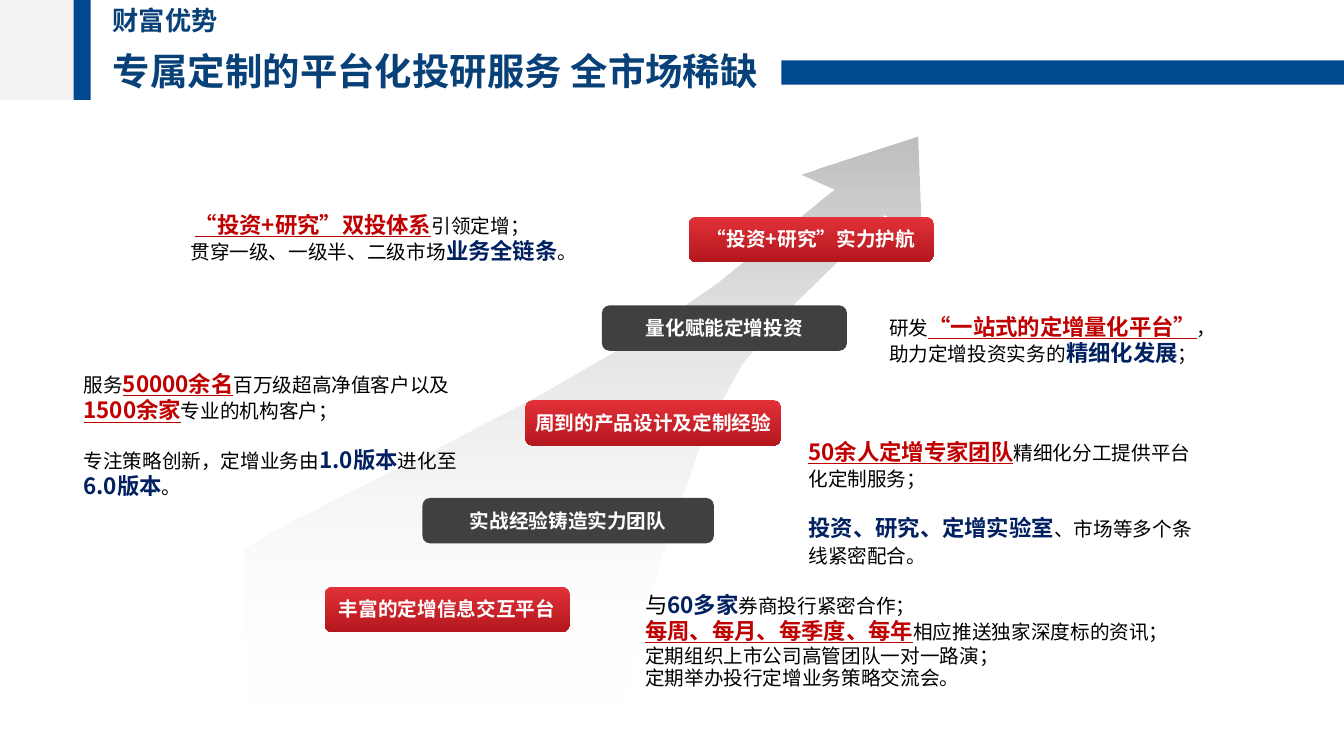
from lxml.etree import SubElement
from pptx import Presentation
from pptx.dml.color import RGBColor
from pptx.enum.shapes import MSO_SHAPE as Preset
from pptx.enum.text import MSO_ANCHOR as Anchor, MSO_AUTO_SIZE as AutoSize, PP_ALIGN as Align
from pptx.oxml.ns import qn
from pptx.util import Pt

PX = 9144  # EMU in one px, 100 px to the inch
FONT = "Noto Sans CJK SC"
LINE_HEIGHT = 1.17
PARAGRAPH_GAP = 17
BLUE, TITLE_BLUE, GREY, DARK = "004990", "084078", "F2F2F2", "404040"
RED_FADE = ("E23138", "B4171E")

# style: size, colour, bold, underline
STYLES = {
    "plain": (14, "000000", False, False),
    "large": (16, "000000", False, False),
    "red": (16, "C00000", True, True),
    "navy": (16, "002060", True, False),
    "pill": (14, "FFFFFF", True, False),
    "section": (18.7, TITLE_BLUE, True, False),
    "title": (26.7, TITLE_BLUE, True, False),
}

ARROW_BOX = (243, 135, 671, 565)
ARROW_OUTLINE = [
    (0, 409), (47, 382), (94, 358), (146, 332), (211, 299), (290, 258), (342, 228),
    (377, 208), (425, 176), (468, 146), (506, 115), (538, 90), (584, 53), (551, 38),
    (667, 0), (671, 103), (634, 78), (588, 124), (532, 179), (493, 226), (475, 259),
    (456, 294), (445, 326), (434, 356), (414, 415), (399, 471), (388, 514), (374, 565),
    (0, 565),
]

PILLS = [
    ((419, 494, 289, 45), DARK, "实战经验铸造实力团队"),
    ((521, 397, 254, 45), RED_FADE, "周到的产品设计及定制经验"),
    ((597, 303, 243, 45), DARK, "量化赋能定增投资"),
    ((683, 215, 243, 45), RED_FADE, "“投资+研究”实力护航"),
    ((322, 582, 243, 45), RED_FADE, "丰富的定增信息交互平台"),
]

# box, gap between paragraphs, paragraphs of (text, style)
NOTES = [
    ((630, 582, 562, 111), 0, [
        [("与", "large"), ("60多家", "navy"), ("券商投行紧密合作；", "plain")],
        [("每周、每月、每季度、每年", "red"), ("相应推送独家深度标的资讯；", "plain")],
        [("定期组织上市公司高管团队一对一路演；", "plain")],
        [("定期举办投行定增业务策略交流会。", "plain")],
    ]),
    ((73, 363, 399, 141), PARAGRAPH_GAP, [
        [("服务", "plain"), ("50000余名", "red"), ("百万级超高净值客户以及", "plain"),
         ("1500余家", "red"), ("专业的机构客户；", "plain")],
        [("专注策略创新，定增业务由", "plain"), ("1.0版本", "navy"), ("进化至", "plain"),
         ("6.0版本", "navy"), ("。", "plain")],
    ]),
    ((792, 430, 413, 135), PARAGRAPH_GAP, [
        [("50余人定增专家团队", "red"), ("精细化分工提供平台化定制服务；", "plain")],
        [("投资、研究、定增实验室", "navy"), ("、市场等多个条线紧密配合。", "plain")],
    ]),
    ((872, 306, 363, 64), 0, [
        [("研发", "plain"), ("“一站式的定增量化平台”", "red"), ("，助力定增投资实务的", "plain"),
         ("精细化发展", "navy"), ("；", "plain")],
    ]),
    ((179, 205, 425, 64), 0, [
        [(" ", "plain"), ("“投资+研究”双投体系", "red"), ("引领定增；", "plain")],
        [("贯穿一级、一级半、二级市场", "plain"), ("业务全链条", "navy"), ("。", "plain")],
    ]),
]


def color(hex_string):
    return RGBColor.from_string(hex_string)


def emu(box):
    return [length * PX for length in box]


def fill_shape(shape, paint):
    """Fill with one colour, or with a pair fading from top to bottom."""
    shape.shadow.inherit = False
    shape.line.fill.background()
    if isinstance(paint, str):
        shape.fill.solid()
        shape.fill.fore_color.rgb = color(paint)
        return
    shape.fill.gradient()
    shape.fill.gradient_angle = 270
    for stop, hex_string, position in zip(shape.fill.gradient_stops, paint, (0, 1)):
        stop.color.rgb = color(hex_string)
        stop.position = position


def format_run(run, style):
    size, hex_string, bold, underline = STYLES[style]
    font = run.font
    font.size, font.bold, font.underline = Pt(size), bold, underline
    font.color.rgb = color(hex_string)
    font.name = FONT
    SubElement(font._element, qn("a:ea")).set("typeface", FONT)


def write(text_frame, paragraphs, gap=0, align=Align.LEFT, wrap=True):
    text_frame.word_wrap = wrap
    text_frame.auto_size = AutoSize.NONE
    for index, pieces in enumerate(paragraphs):
        paragraph = text_frame.add_paragraph() if index else text_frame.paragraphs[0]
        paragraph.alignment = align
        paragraph.line_spacing = Pt(max(STYLES[style][0] for _, style in pieces) * LINE_HEIGHT)
        paragraph.space_before = Pt(gap if index else 0)
        for text, style in pieces:
            run = paragraph.add_run()
            run.text = text
            format_run(run, style)


def add_block(slide, box, paint, preset=Preset.RECTANGLE):
    shape = slide.shapes.add_shape(preset, *emu(box))
    fill_shape(shape, paint)
    return shape


def add_note(slide, box, paragraphs, gap=0, wrap=True):
    text_box = slide.shapes.add_textbox(*emu(box))
    write(text_box.text_frame, paragraphs, gap, wrap=wrap)


def add_header(slide, box):
    left, top, width, height = box
    add_block(slide, (left, top, 73, height), GREY)
    add_block(slide, (left + 73, top, 17, height), BLUE)
    add_block(slide, (left + 775, top + 60, width - 775, 24), BLUE)
    add_note(slide, (left + 102, top, 125, 42), [[("财富优势", "section")]], wrap=False)
    title = slide.shapes.title
    title.left, title.top, title.width, title.height = emu((left + 102, top + 44, 661, 55))
    title.text_frame.vertical_anchor = Anchor.TOP
    write(title.text_frame, [[("专属定制的平台化投研服务 全市场稀缺", "title")]])


def add_arrow(slide, box):
    left, top = box[:2]
    points = [(left + x, top + y) for x, y in ARROW_OUTLINE]
    builder = slide.shapes.build_freeform(*points[0], scale=PX)
    builder.add_line_segments(points[1:], close=True)
    arrow = builder.convert_to_shape()
    fill_shape(arrow, ("BFBFBF", "FFFFFF"))
    last_color = arrow._element.spPr.findall(".//" + qn("a:srgbClr"))[-1]
    SubElement(last_color, qn("a:alpha")).set("val", "0")


def add_pill(slide, box, paint, label):
    pill = add_block(slide, box, paint, Preset.ROUNDED_RECTANGLE)
    frame = pill.text_frame
    frame.margin_left = frame.margin_right = 7 * PX
    frame.margin_top = frame.margin_bottom = 3 * PX
    frame.vertical_anchor = Anchor.MIDDLE
    write(frame, [[(label, "pill")]], align=Align.CENTER)


def main():
    presentation = Presentation()
    presentation.slide_width, presentation.slide_height = emu((1333, 750))
    slide = presentation.slides.add_slide(presentation.slide_layouts[5])
    add_header(slide, (0, 0, 1333, 99))
    add_arrow(slide, ARROW_BOX)
    for box, paint, label in PILLS:
        add_pill(slide, box, paint, label)
    for box, gap, paragraphs in NOTES:
        add_note(slide, box, paragraphs, gap)
    presentation.save("out.pptx")


if __name__ == "__main__":
    main()
